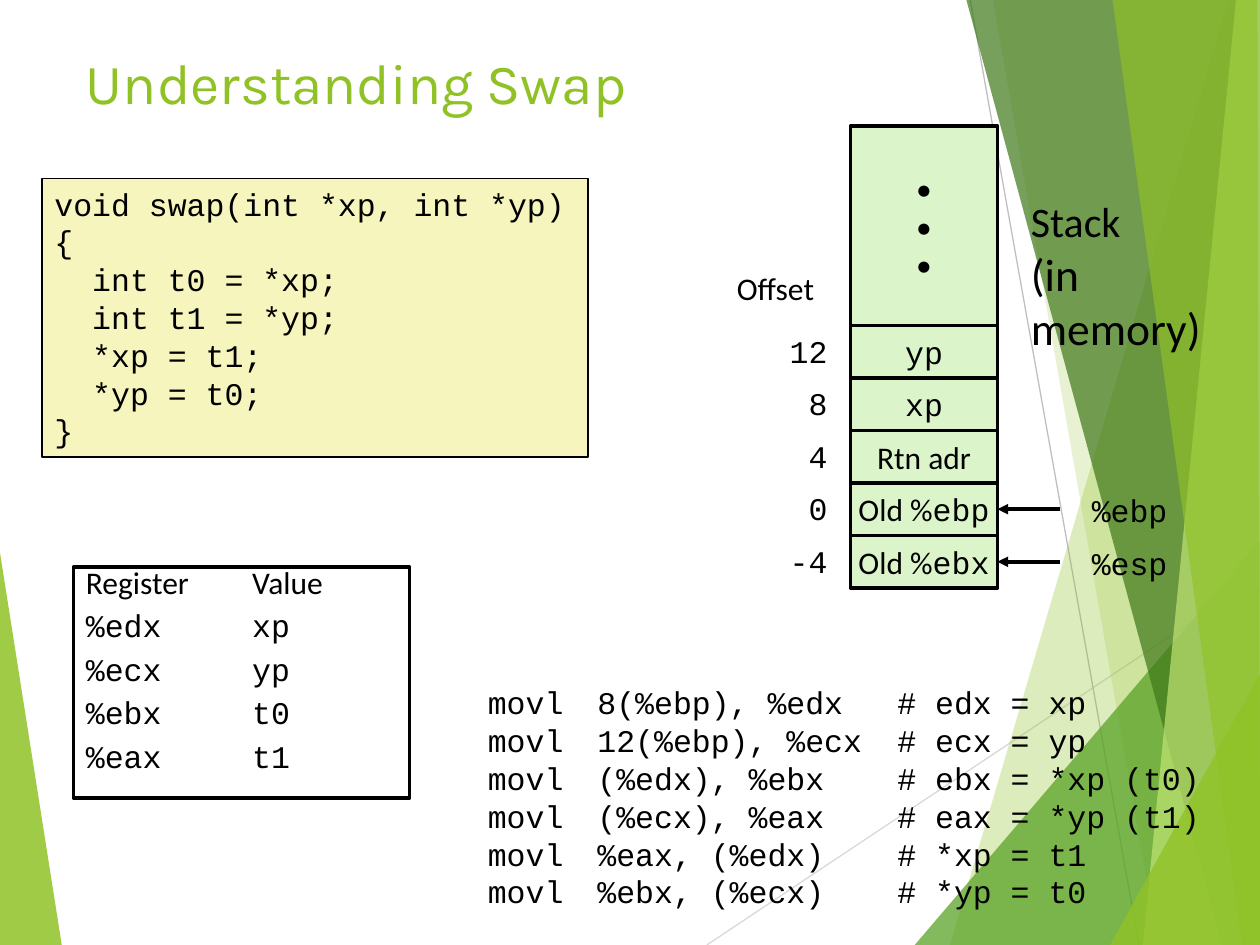
from lxml.etree import SubElement
from pptx import Presentation
from pptx.dml.color import RGBColor
from pptx.enum.shapes import MSO_CONNECTOR, MSO_SHAPE
from pptx.enum.text import MSO_ANCHOR, PP_ALIGN
from pptx.oxml.ns import qn
from pptx.util import Inches, Pt

# Content
TITLE = "Understanding Swap"
SWAP_CODE = [
    "void swap(int *xp, int *yp)",
    "{",
    "  int t0 = *xp;",
    "  int t1 = *yp;",
    "  *xp = t1;",
    "  *yp = t0;",
    "}",
]
REGISTERS = [("%edx", "xp"), ("%ecx", "yp"), ("%ebx", "t0"), ("%eax", "t1")]
ASSEMBLY = [
    ("movl", "8(%ebp), %edx", "# edx = xp"),
    ("movl", "12(%ebp), %ecx", "# ecx = yp"),
    ("movl", "(%edx), %ebx", "# ebx = *xp (t0)"),
    ("movl", "(%ecx), %eax", "# eax = *yp (t1)"),
    ("movl", "%eax, (%edx)", "# *xp = t1"),
    ("movl", "%ebx, (%ecx)", "# *yp = t0"),
]
BODY, CODE = "Calibri", "Courier New"
# Offset, runs of the cell, register pointing at it
STACK = [
    ("12", [("yp", CODE)], None),
    ("8", [("xp", CODE)], None),
    ("4", [("Rtn adr", BODY)], None),
    ("0", [("Old %", BODY), ("ebp", CODE)], "%ebp"),
    ("-4", [("Old %", BODY), ("ebx", CODE)], "%esp"),
]

COLORS = {
    "black": "000000", "lime": "90C226", "green": "54A021", "forest": "3F7819",
    "pale": "C0E474", "cream": "F6F5BD", "mint": "DBF4CA",
    "gray": "D9D9D9", "dark gray": "BFBFBF",
}
# Corners in percent of the slide's width and height, colour, opacity in percent
LEFT_FACET = ([(0, 58.5), (4.9, 100), (0, 100)], "lime", 85)
RIGHT_FACETS = [
    ([(97.5, 0), (75.4, 100), (100, 100), (100, 0)], "lime", 30),
    ([(78.8, 0), (91.9, 100), (100, 100), (100, 0)], "lime", 20),
    ([(72.6, 100), (100, 57.2), (100, 100)], "green", 72),
    ([(76.7, 0), (97, 100), (100, 100), (100, 0)], "forest", 70),
    ([(98.1, 0), (90.7, 100), (100, 100), (100, 0)], "pale", 70),
    ([(88.3, 0), (98.6, 100), (100, 100), (99.8, 0)], "lime", 65),
    ([(88.1, 100), (100, 71.3), (100, 100)], "lime", 80),
]
BACKGROUND_LINES = [
    ((56.1, 100), (100, 61), "gray"),
    ((77, 0), (90.4, 100), "dark gray"),
]

# Grid: twelve units to the inch
UNIT = Inches(1 / 12)
STACK_LEFT, STACK_TOP, STACK_WIDTH = 81, 12, 14
TOP_HEIGHT, ROW_HEIGHT = 19, 5

presentation = Presentation()
presentation.slide_width = Inches(10)
presentation.slide_height = Inches(7.5)
slide = presentation.slides.add_slide(presentation.slide_layouts[6])
shapes = slide.shapes


def color(name):
    return RGBColor.from_string(COLORS[name])


def grid(*units):
    return [int(unit * UNIT) for unit in units]


def percent(point):
    return (int(point[0] / 100 * presentation.slide_width),
            int(point[1] / 100 * presentation.slide_height))


def add_facet(points, fill, opacity):
    corners = [percent(point) for point in points]
    builder = shapes.build_freeform(*corners[0])
    builder.add_line_segments(corners[1:], close=True)
    shape = builder.convert_to_shape()
    shape.shadow.inherit = False
    shape.fill.solid()
    shape.fill.fore_color.rgb = color(fill)
    fill_element = shape._element.spPr.find(qn("a:solidFill"))
    SubElement(fill_element[0], qn("a:alpha"), val=str(opacity * 1000))
    shape.line.fill.background()


def add_line(start, end, line_color, width):
    line = shapes.add_connector(MSO_CONNECTOR.STRAIGHT, *start, *end)
    line.line.color.rgb = color(line_color)
    line.line.width = Pt(width)
    SubElement(line._element.spPr, qn("a:effectLst"))
    return line


def add_box(place, fill=None, width=2):
    shape = shapes.add_shape(MSO_SHAPE.RECTANGLE, *grid(*place))
    shape.shadow.inherit = False
    if fill:
        shape.fill.solid()
        shape.fill.fore_color.rgb = color(fill)
    else:
        shape.fill.background()
    shape.line.color.rgb = color("black")
    shape.line.width = Pt(width)
    return shape


def write(shape, lines, size=18, ink="black", tabs=(), wrap=True,
          anchor=MSO_ANCHOR.TOP, **formats):
    """Each line is a list of (text, font name) runs."""
    frame = shape.text_frame
    frame.word_wrap, frame.vertical_anchor = wrap, anchor
    formats = {"alignment": PP_ALIGN.LEFT, **formats}
    for index, runs in enumerate(lines):
        paragraph = frame.add_paragraph() if index else frame.paragraphs[0]
        for name, value in formats.items():
            if index or name != "space_before":
                setattr(paragraph, name, value)
        if tabs:
            tab_list = SubElement(paragraph._p.get_or_add_pPr(), qn("a:tabLst"))
            for position in tabs:
                SubElement(tab_list, qn("a:tab"), pos=str(Inches(position)), algn="l")
        for text, font_name in runs:
            run = paragraph.add_run()
            run.text = text
            for name, value in {"name": font_name, "size": Pt(size)}.items():
                setattr(run.font, name, value)
            run.font.color.rgb = color(ink)


def add_text(place, lines, **formats):
    write(shapes.add_textbox(*grid(*place)), lines, **formats)


# Background facets
add_facet(*LEFT_FACET)
for start, end, line_color in BACKGROUND_LINES:
    add_line(percent(start), percent(end), line_color, 0.75)
for facet in RIGHT_FACETS:
    add_facet(*facet)

# Title and C code
add_text((7, 4, 83.6, 7.6), [[(TITLE, "Karla")]], size=32.4, ink="lime")
write(add_box((4, 17, 52, 26.5), "cream", 1), [[(line, CODE)] for line in SWAP_CODE])

# Register box
register_lines = [[("Register\tValue", BODY)]]
register_lines += [[("\t".join(row), CODE)] for row in REGISTERS]
write(add_box((7, 54, 32, 22)), register_lines, tabs=[1.32],
      line_spacing=0.7, space_before=Pt(9.7))

# Stack
cell_format = {"wrap": False, "anchor": MSO_ANCHOR.MIDDLE, "alignment": PP_ALIGN.CENTER}
stack_top = add_box((STACK_LEFT, STACK_TOP, STACK_WIDTH, TOP_HEIGHT), "mint")
write(stack_top, [[("•", BODY)]] * 3, **cell_format)
add_text((69, 25, 10, 4.8), [[("Offset", BODY)]])
add_text((97, 18, 23, 5), [[("Stack", BODY)]], size=24)
add_text((97, 22.8, 23, 11), [[("(in memory)", BODY)]], size=26)
for row, (offset, runs, pointer) in enumerate(STACK):
    top = STACK_TOP + TOP_HEIGHT + row * ROW_HEIGHT
    cell = add_box((STACK_LEFT, top, STACK_WIDTH, ROW_HEIGHT), "mint")
    write(cell, [runs], **cell_format)
    add_text((74, top, 6, 4.8), [[(offset, CODE)]], wrap=False, alignment=PP_ALIGN.RIGHT)
    if pointer:
        middle = top + ROW_HEIGHT / 2
        arrow = add_line(grid(101, middle), grid(95, middle), "black", 2)
        arrow.end_connect(cell, 3)
        SubElement(arrow.line._get_or_add_ln(), qn("a:tailEnd"), type="triangle")
        add_text((102.8, top + 0.2, 9.7, 4.8), [[(pointer, CODE)]], wrap=False)

# Assembly listing
add_text((40, 64.5, 78, 23), [[("\t" + "\t".join(row), CODE)] for row in ASSEMBLY],
         tabs=[0.44, 1.31, 3.69])

presentation.save("out.pptx")
